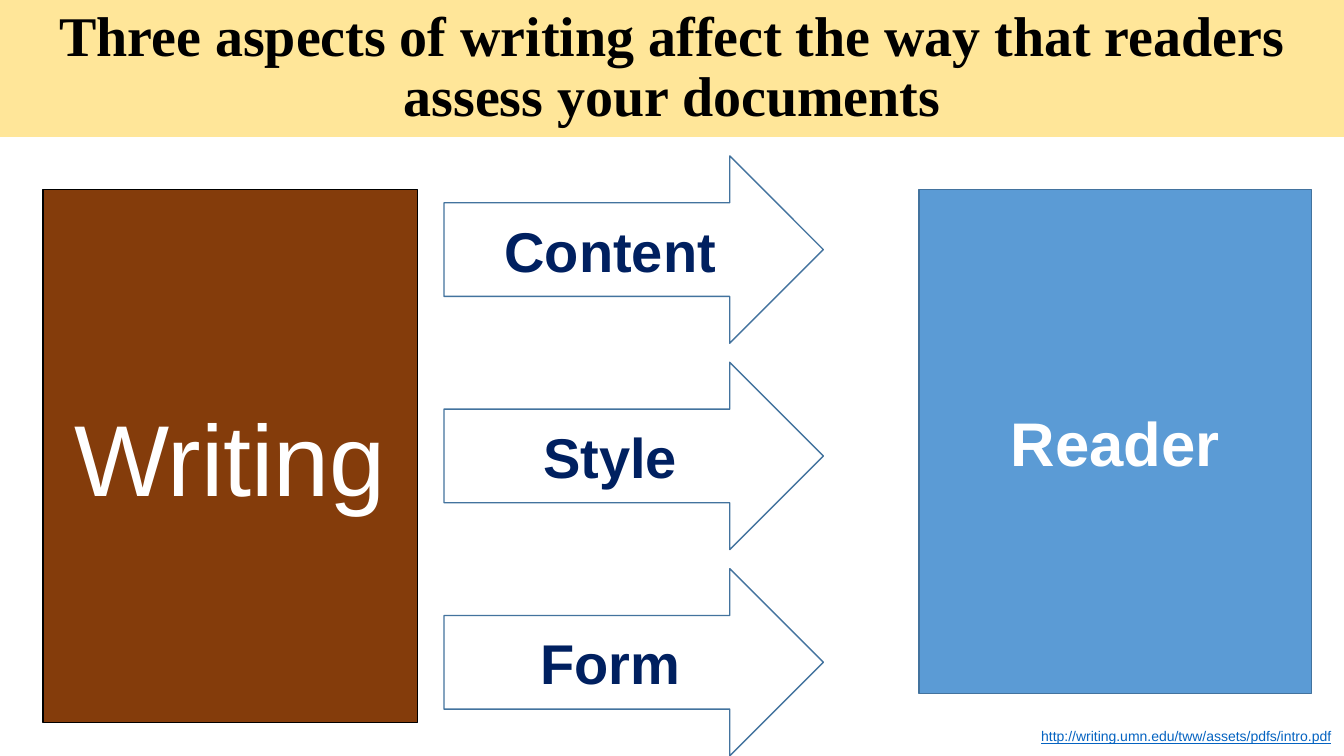
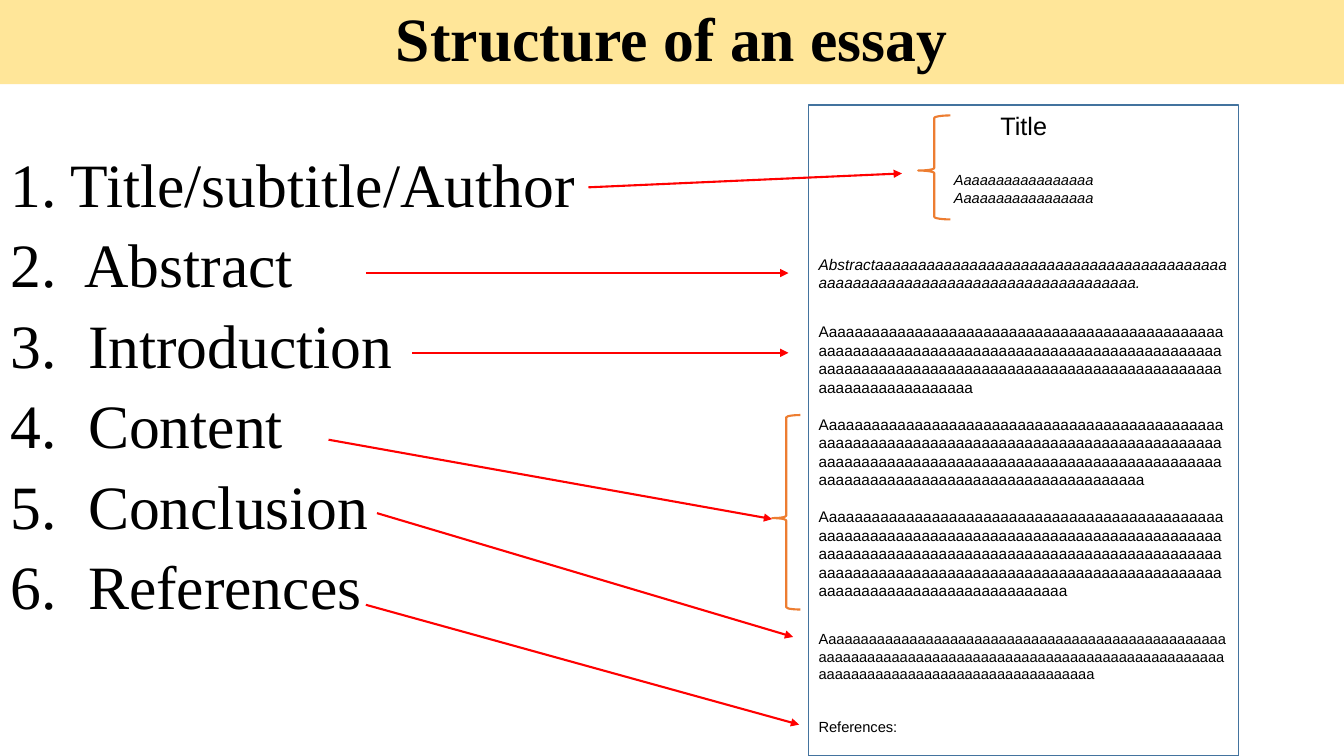
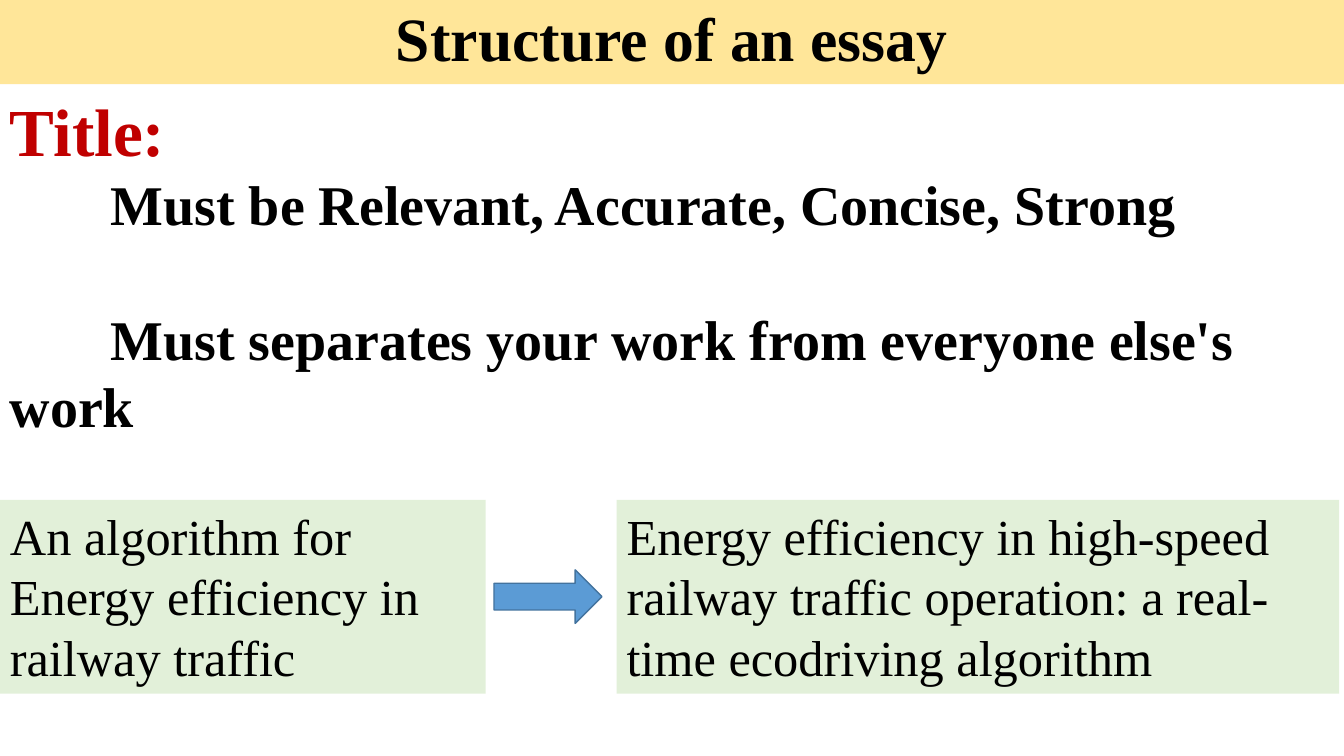
from dataclasses import dataclass
from typing import Optional

from lxml.etree import SubElement
from pptx import Presentation
from pptx.dml.color import RGBColor
from pptx.enum.shapes import MSO_CONNECTOR, MSO_SHAPE
from pptx.enum.text import MSO_ANCHOR, PP_ALIGN
from pptx.oxml.ns import qn
from pptx.util import Cm, Pt

BLACK = RGBColor(0x00, 0x00, 0x00)
WHITE = RGBColor(0xFF, 0xFF, 0xFF)
YELLOW = RGBColor(0xFF, 0xE6, 0x99)
BROWN = RGBColor(0x84, 0x3C, 0x0B)
BLUE = RGBColor(0x5B, 0x9B, 0xD5)
EDGE = RGBColor(0x43, 0x73, 0x9E)
NAVY = RGBColor(0x00, 0x20, 0x60)
LINK = RGBColor(0x05, 0x63, 0xC1)
RED = RGBColor(0xFF, 0x00, 0x00)
DARK_RED = RGBColor(0xC0, 0x00, 0x00)
ORANGE = RGBColor(0xED, 0x7D, 0x31)
GREEN = RGBColor(0xE2, 0xF0, 0xD9)

SANS, SERIF = "Arial", "Times New Roman"
WIDTH, HEIGHT = 33.87, 19.05
BAND = 2.12


@dataclass
class Box:
    """Place and size in centimetres."""
    left: float
    top: float
    width: float
    height: float

    def emu(self) -> tuple:
        return Cm(self.left), Cm(self.top), Cm(self.width), Cm(self.height)


@dataclass
class Para:
    """A paragraph; margin and indent in centimetres, the rest in points."""
    text: str
    size: float
    font: str = SERIF
    color: RGBColor = BLACK
    bold: bool = False
    italic: bool = False
    underline: bool = False
    align: PP_ALIGN = PP_ALIGN.LEFT
    before: float = 0
    spacing: float = 1.0
    margin: float = 0
    indent: float = 0


@dataclass
class Arrow:
    """Start and end of a straight arrow in centimetres."""
    x1: float
    y1: float
    x2: float
    y2: float


# Shared drawing functions
def write(tf, paras: list[Para], anchor=MSO_ANCHOR.TOP, wrap: bool = True) -> None:
    tf.word_wrap = wrap
    tf.vertical_anchor = anchor
    for i, para in enumerate(paras):
        p = tf.add_paragraph() if i else tf.paragraphs[0]
        p.text = para.text
        p.alignment = para.align
        p.line_spacing = para.spacing
        p.space_before = Pt(para.before)
        pPr = p._p.get_or_add_pPr()
        pPr.set("marL", str(Cm(para.margin)))
        pPr.set("indent", str(Cm(para.indent)))
        for r in p.runs:
            r.font.name = para.font
            r.font.size = Pt(para.size)
            r.font.bold = para.bold
            r.font.italic = para.italic
            r.font.underline = para.underline
            r.font.color.rgb = para.color


def add_shape(s, kind: MSO_SHAPE, box: Box, fill: Optional[RGBColor] = None,
              line: Optional[RGBColor] = None, weight: float = 1):
    sp = s.shapes.add_shape(kind, *box.emu())
    sp.shadow.inherit = False
    if fill is None:
        sp.fill.background()
    else:
        sp.fill.solid()
        sp.fill.fore_color.rgb = fill
    if line is None:
        sp.line.fill.background()
    else:
        sp.line.color.rgb = line
        sp.line.width = Pt(weight)
    return sp


def add_label(s, kind: MSO_SHAPE, box: Box, fill: RGBColor,
              line: Optional[RGBColor], para: Para) -> None:
    para.align = PP_ALIGN.CENTER
    write(add_shape(s, kind, box, fill, line).text_frame, [para], MSO_ANCHOR.MIDDLE)


def add_text(s, box: Box, paras: list[Para], wrap: bool = True) -> None:
    write(s.shapes.add_textbox(*box.emu()).text_frame, paras, wrap=wrap)


def add_arrow(s, arrow: Arrow) -> None:
    ends = [Cm(v) for v in (arrow.x1, arrow.y1, arrow.x2, arrow.y2)]
    cxn = s.shapes.add_connector(MSO_CONNECTOR.STRAIGHT, *ends)
    cxn.line.color.rgb = RED
    cxn.line.width = Pt(1.5)
    SubElement(cxn.line._get_or_add_ln(), qn("a:tailEnd"), type="triangle")
    SubElement(cxn._element.spPr, qn("a:effectLst"))


def add_slide(prs, title: str, size: float = 44, height: float = BAND):
    s = prs.slides.add_slide(prs.slide_layouts[6])
    add_label(s, MSO_SHAPE.RECTANGLE, Box(0, 0, WIDTH, height), YELLOW, None,
              Para(title, size, bold=True, spacing=0.9))
    return s


def filler(count: int, start: str = "A") -> str:
    return start + "a" * count


# Slide 1: three aspects
def aspects_slide(prs) -> None:
    s = add_slide(prs, "Three aspects of writing affect the way that readers "
                  "assess your documents", 40, 3.45)
    add_label(s, MSO_SHAPE.RECTANGLE, Box(1.08, 4.78, 9.44, 13.43), BROWN, BLACK,
              Para("Writing", 72, SANS, WHITE))
    for i, aspect in enumerate(("Content", "Style", "Form")):
        add_label(s, MSO_SHAPE.RIGHT_ARROW, Box(11.19, 3.93 + 5.2 * i, 9.56, 4.72),
                  WHITE, EDGE, Para(aspect, 40, SANS, NAVY, bold=True))
    add_text(s, Box(25.99, 18.21, 7.98, 0.69),
             [Para("http://writing.umn.edu/tww/assets/pdfs/intro.pdf", 10, SANS, LINK,
                   underline=True)], wrap=False)
    add_label(s, MSO_SHAPE.RECTANGLE, Box(23.16, 4.78, 9.89, 12.7), BLUE, EDGE,
              Para("Reader", 44, SANS, WHITE, bold=True))


# Slide 2: parts of an essay
def parts_slide(prs) -> None:
    s = add_slide(prs, "Structure of an essay")

    # Numbered list with hanging indents
    parts = (("Title/subtitle/Author", 1.52), ("Abstract", 1.86),
             ("Introduction", 1.95), ("Content", 1.95),
             ("Conclusion", 1.95), ("References", 1.95))
    items = [Para(f"{i + 1}.\t{part}", 44, before=10 if i else 0, spacing=0.9,
                  margin=hang, indent=-hang)
             for i, (part, hang) in enumerate(parts)]
    add_text(s, Box(0.02, 3.76, 15.98, 15.29), items)

    # Sample page
    center = PP_ALIGN.CENTER
    page = add_shape(s, MSO_SHAPE.RECTANGLE, Box(20.38, 2.65, 10.84, 16.4), line=EDGE)
    write(page.text_frame, [
        Para("Title", 18, SANS, align=center),
        Para(filler(16), 10.5, SANS, italic=True, align=center, before=22),
        Para(filler(16), 10.5, SANS, italic=True, align=center),
        Para(filler(78, "Abstract") + ".", 11, SANS, italic=True, before=34.8),
        Para(filler(158), 11, SANS, before=21.5),
        Para(filler(178), 11, SANS, before=13.5),
        Para(filler(216), 11, SANS, before=13),
        Para(filler(133), 10.5, SANS, before=21.5),
        Para("References:", 10.5, SANS, before=25.5),
    ])

    # Arrows from the list to the page
    for arrow in (
        Arrow(14.83, 4.72, 22.73, 4.37),
        Arrow(9.22, 6.88, 19.87, 6.88),
        Arrow(10.39, 8.89, 19.87, 8.89),
        Arrow(8.28, 11.08, 19.46, 13.08),
        Arrow(9.5, 12.93, 19.99, 16.05),
        Arrow(9.22, 15.24, 20.14, 18.26),
    ):
        add_arrow(s, arrow)
    for box in (Box(23.14, 2.91, 0.81, 2.62), Box(19.46, 10.46, 0.71, 4.9)):
        brace = add_shape(s, MSO_SHAPE.LEFT_BRACE, box, line=ORANGE, weight=1.5)
        brace.adjustments[0] = 0.08
        brace.adjustments[1] = 0.53


# Slide 3: choosing a title
def title_slide(prs) -> None:
    s = add_slide(prs, "Structure of an essay")
    add_text(s, Box(0, BAND, WIDTH, 9.14), [
        Para("Title:", 48, color=DARK_RED, bold=True),
        Para("Must be Relevant, Accurate, Concise, Strong", 40, bold=True, indent=2.54),
        Para("Must separates your work from everyone else's work", 40, bold=True,
             before=48, indent=2.54),
    ])
    for left, width, lines in (
        (15.54, 18.21, ["Energy efficiency in high-speed railway traffic operation: "
                        "a real-time ecodriving algorithm"]),
        (0, 12.24, ["An algorithm for", "Energy efficiency in railway traffic"]),
    ):
        sp = add_shape(s, MSO_SHAPE.RECTANGLE, Box(left, 12.6, width, 4.88), GREEN)
        write(sp.text_frame, [Para(line, 36) for line in lines])
    add_shape(s, MSO_SHAPE.RIGHT_ARROW, Box(12.45, 14.36, 2.72, 1.35), BLUE, EDGE)


def main() -> None:
    prs = Presentation()
    prs.slide_width, prs.slide_height = Cm(WIDTH), Cm(HEIGHT)
    aspects_slide(prs)
    parts_slide(prs)
    title_slide(prs)
    prs.save("out.pptx")


if __name__ == "__main__":
    main()
